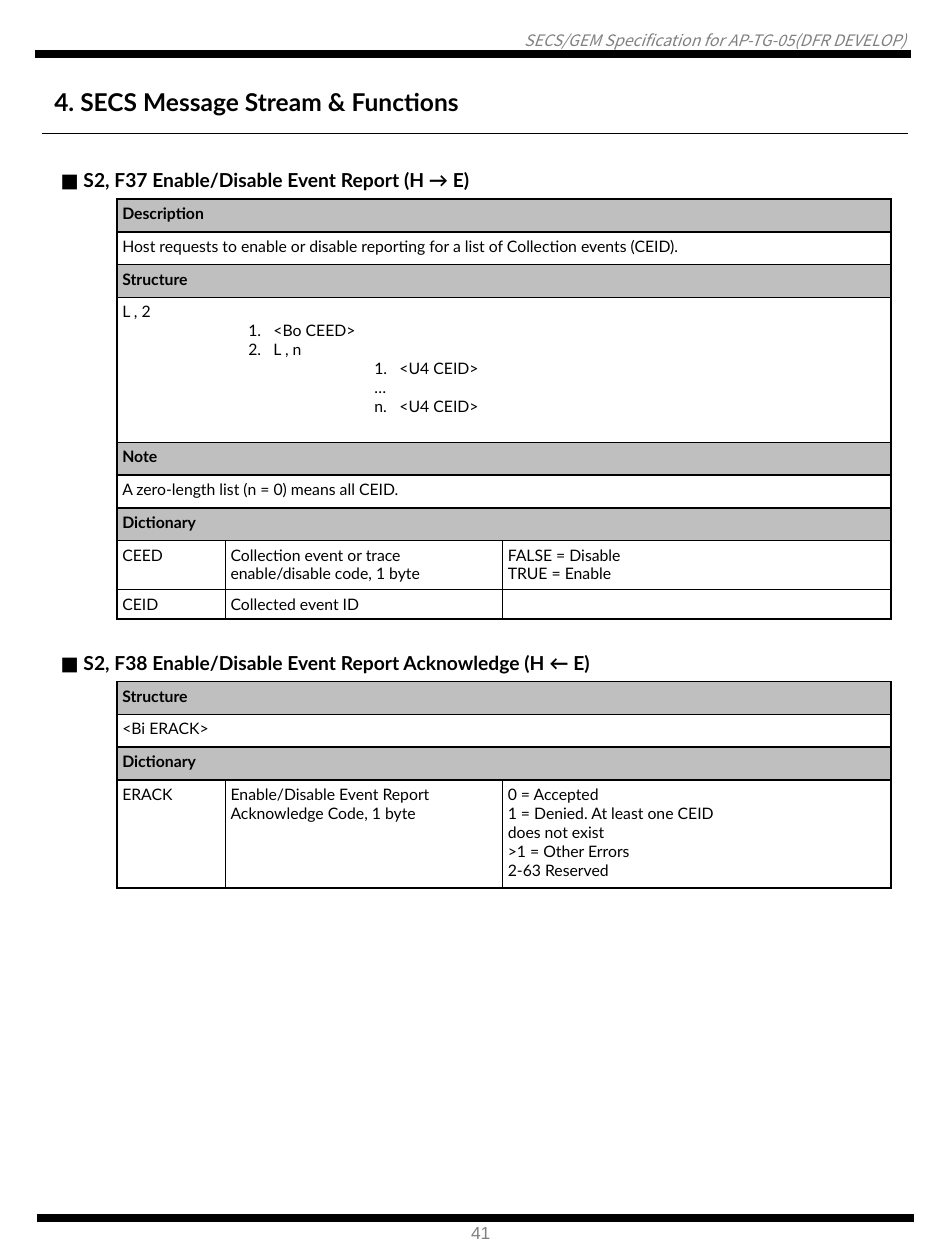
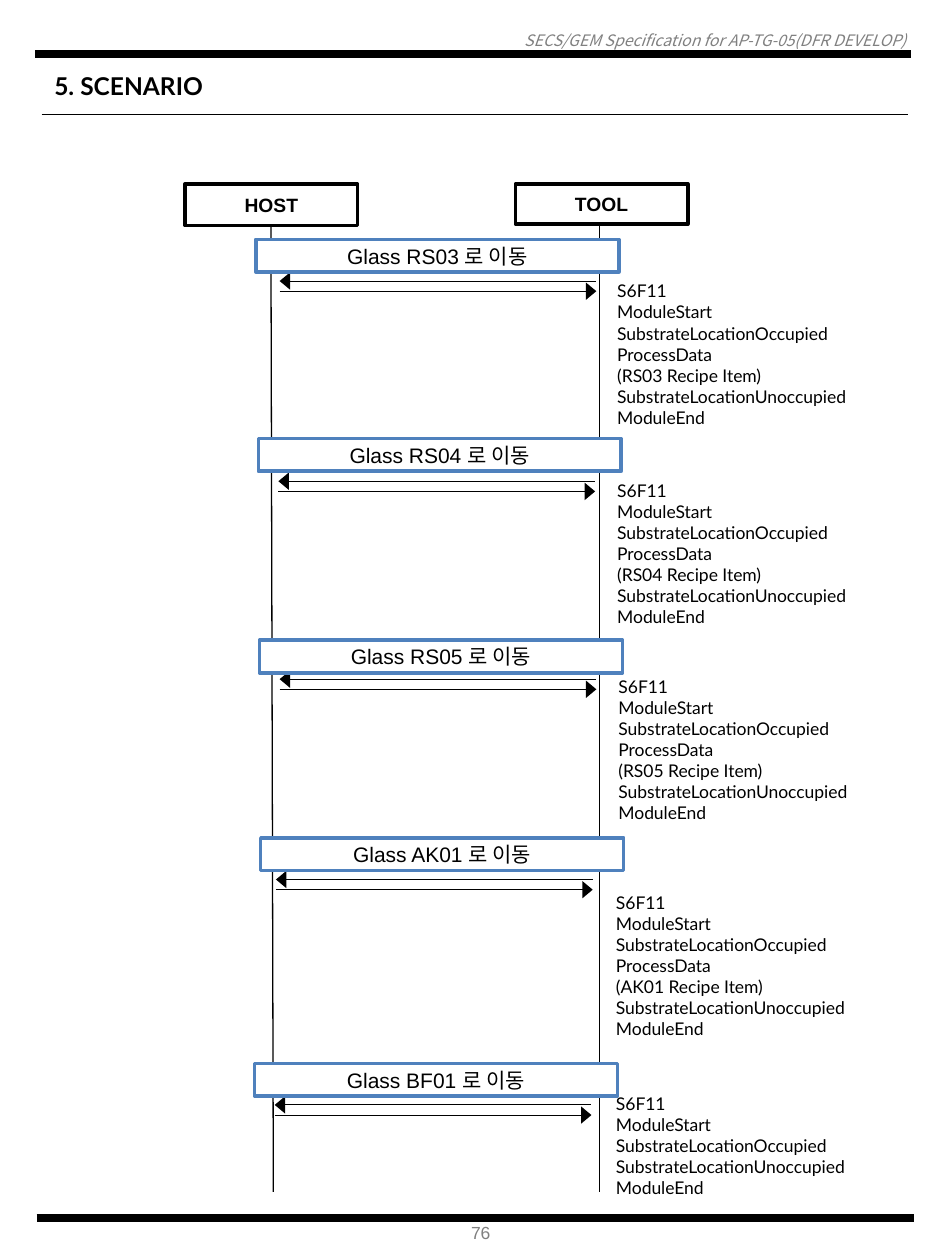
"""Build two pages of a SECS/GEM message specification."""
from dataclasses import dataclass
from typing import NamedTuple

from lxml.etree import SubElement
from pptx import Presentation
from pptx.dml.color import RGBColor
from pptx.enum.shapes import MSO_CONNECTOR, MSO_SHAPE
from pptx.enum.text import MSO_ANCHOR, MSO_AUTO_SIZE, PP_ALIGN
from pptx.oxml.ns import qn
from pptx.shapes.autoshape import Shape
from pptx.shapes.connector import Connector
from pptx.slide import Slide
from pptx.table import _Cell
from pptx.text.text import TextFrame
from pptx.util import Pt


@dataclass(frozen=True)
class Theme:
    """Colours, fonts and type sizes in points."""
    black: str = "000000"
    white: str = "FFFFFF"
    grey: str = "808080"
    heading_fill: str = "BFBFBF"
    blue: str = "4F81BD"
    body_font: str = "Lato"
    label_font: str = "Arial"
    header_font: str = "Noto Sans CJK KR"
    title_size: float = 14
    move_size: float = 12
    section_size: float = 11
    event_size: float = 10
    cell_size: float = 9


class Box(NamedTuple):
    """Left, top, width and height in points."""
    left: float
    top: float
    width: float
    height: float


class Row(NamedTuple):
    """One table row below the section heading."""
    height: float
    texts: tuple[str, ...]
    heading: bool = False
    levels: tuple[int, ...] = ()


class Section(NamedTuple):
    """A message table and the row where its margin cells merge."""
    heading: str
    top: float
    rows: tuple[Row, ...]
    margin_merge: int


class Move(NamedTuple):
    """A glass move with its label, arrow pair and event list positions."""
    module: str
    label: tuple[float, float]
    arrows: tuple[float, float]
    events: tuple[float, float]
    has_data: bool = True


class Actor(NamedTuple):
    """A participant box and its lifeline."""
    name: str
    box: Box
    line_top: float
    line_left: tuple[float, float]


THEME = Theme()
COLUMN_WIDTHS = (35.3, 61.9, 158.4, 221.8)
TABLE_LEFT = 31.7
SECTION_HEIGHT = 21.6
ROW_HEIGHT = 18.72
CELL_MARGIN = 2.9
LEVEL_INDENT = 72
NUMBER_INDENT = 14.4
LABEL_SIZE = (207.4, 18.7)
ARROW_LENGTH = 181
ARROW_GAP = 5.8
EVENTS_WIDTH = 145.4
EVENT_LINE = 12.2
LIFELINE_BOTTOM = 681.1

SECTIONS = (
    Section("■ S2, F37 Enable/Disable Event Report (H → E)", 92.2, (
        Row(ROW_HEIGHT, ("Description",), True),
        Row(ROW_HEIGHT, ("Host requests to enable or disable reporting for a list of Collection events (CEID).",)),
        Row(ROW_HEIGHT, ("Structure",), True),
        Row(82.8, ("L , 2\n1.\t<Bo CEED>\n2.\tL , n\n1.\t<U4 CEID>\n…\nn.\t<U4 CEID>",), False, (0, 1, 1, 2, 2, 2)),
        Row(ROW_HEIGHT, ("Note",), True),
        Row(ROW_HEIGHT, ("A zero-length list (n = 0) means all CEID.",)),
        Row(ROW_HEIGHT, ("Dictionary",), True),
        Row(28.1, ("CEED", "Collection event or trace enable/disable code, 1 byte", "FALSE = Disable\nTRUE = Enable")),
        Row(16.6, ("CEID", "Collected event ID", "")),
    ), 6),
    Section("■ S2, F38 Enable/Disable Event Report Acknowledge (H ← E)", 367.9, (
        Row(ROW_HEIGHT, ("Structure",), True),
        Row(ROW_HEIGHT, ("<Bi ERACK>",)),
        Row(ROW_HEIGHT, ("Dictionary",), True),
        Row(61.9, ("ERACK", "Enable/Disable Event Report\nAcknowledge Code, 1 byte",
                   "0 = Accepted\n1 = Denied. At least one CEID\ndoes not exist\n>1 = Other Errors\n2-63 Reserved")),
    ), 3),
)

ACTORS = (
    Actor("HOST", Box(105.8, 105.1, 98.6, 23.8), 128.9, (154.8, 156.2)),
    Actor("TOOL", Box(294.5, 105.1, 98.6, 23), 127.4, (342.7, 342.7)),
)

MOVES = (
    Move("RS03", (146.2, 136.8), (159.8, 160.6), (345.6, 156.2)),
    Move("RS04", (147.6, 250.6), (159.1, 275), (345.6, 270)),
    Move("RS05", (148.3, 365.8), (159.8, 388.1), (346.3, 382.3)),
    Move("AK01", (149, 478.8), (157.7, 502.6), (344.9, 505.4)),
    Move("BF01", (145.4, 607.7), (157, 631.4), (344.9, 620.6), False),
)


def write_text(frame: TextFrame, text: str, *, size: float, font: str = THEME.body_font,
               color: str = THEME.black, bold: bool = False, italic: bool = False,
               align: PP_ALIGN = PP_ALIGN.LEFT, levels: tuple[int, ...] = ()) -> None:
    """Fill a frame with one formatted paragraph per line."""
    for index, line in enumerate(text.split("\n")):
        paragraph = frame.add_paragraph() if index else frame.paragraphs[0]
        paragraph.alignment = align
        if levels and levels[index]:
            properties = paragraph._p.get_or_add_pPr()
            properties.set("marL", str(Pt(LEVEL_INDENT * levels[index] + NUMBER_INDENT)))
            properties.set("indent", str(Pt(-NUMBER_INDENT)))
        if not line:
            SubElement(paragraph._p, qn("a:endParaRPr")).set("sz", str(int(size * 100)))
            continue
        run = paragraph.add_run()
        run.text = line
        run.font.name, run.font.size = font, Pt(size)
        run.font.bold, run.font.italic = bold, italic
        run.font.color.rgb = RGBColor.from_string(color)


def place(shape: Shape, box: Box) -> None:
    """Move and size a shape."""
    shape.left, shape.top, shape.width, shape.height = map(Pt, box)


def set_frame(frame: TextFrame, *, wrap: bool = True, anchor: MSO_ANCHOR = MSO_ANCHOR.TOP,
              inset: tuple[float, float] = (7.2, 3.6)) -> None:
    """Set wrapping, anchor and insets of a text frame."""
    frame.auto_size = MSO_AUTO_SIZE.NONE if wrap else MSO_AUTO_SIZE.SHAPE_TO_FIT_TEXT
    frame.word_wrap = wrap
    frame.vertical_anchor = anchor
    frame.margin_left = frame.margin_right = Pt(inset[0])
    frame.margin_top = frame.margin_bottom = Pt(inset[1])


def add_text(slide: Slide, box: Box, text: str, *, wrap: bool = True,
             anchor: MSO_ANCHOR = MSO_ANCHOR.TOP, inset: tuple[float, float] = (7.2, 3.6), **text_format) -> None:
    """Add a text box."""
    frame = slide.shapes.add_textbox(*map(Pt, box)).text_frame
    set_frame(frame, wrap=wrap, anchor=anchor, inset=inset)
    write_text(frame, text, **text_format)


def add_label(slide: Slide, box: Box, text: str, line_color: str, *, filled: bool = True, **text_format) -> None:
    """Add an outlined rectangle with centred text."""
    shape = slide.shapes.add_shape(MSO_SHAPE.RECTANGLE, *map(Pt, box))
    shape.shadow.inherit = False
    if filled:
        shape.fill.solid()
        shape.fill.fore_color.rgb = RGBColor.from_string(THEME.white)
    else:
        shape.fill.background()
    shape.line.color.rgb = RGBColor.from_string(line_color)
    shape.line.width = Pt(2)
    set_frame(shape.text_frame, anchor=MSO_ANCHOR.MIDDLE, inset=(0, 0))
    write_text(shape.text_frame, text, font=THEME.label_font, align=PP_ALIGN.CENTER, **text_format)


def add_line(slide: Slide, start: tuple[float, float], end: tuple[float, float],
             width: float, arrow: str = "") -> Connector:
    """Add a black line, with an arrow at its headEnd or tailEnd if named."""
    line = slide.shapes.add_connector(MSO_CONNECTOR.STRAIGHT, *map(Pt, (*start, *end)))
    line.line.color.rgb = RGBColor.from_string(THEME.black)
    line.line.width = Pt(width)
    if arrow:
        SubElement(line.line._get_or_add_ln(), qn(f"a:{arrow}"), type="triangle", w="lg", len="med")
    SubElement(line._element.spPr, qn("a:effectLst"))
    return line


def set_borders(cell: _Cell, edges: dict[str, str]) -> None:
    """Draw the named cell edges: black ones 1 pt, white ones 0.75 pt."""
    properties = cell._tc.get_or_add_tcPr()
    for position, (edge, color) in enumerate(edges.items()):
        width = Pt(1 if color == THEME.black else 0.75)
        line = properties.makeelement(qn(f"a:ln{edge}"), {"w": str(width)})
        SubElement(SubElement(line, qn("a:solidFill")), qn("a:srgbClr"), val=color)
        properties.insert(position, line)


def fill_cell(cell: _Cell, text: str, *, edges: dict[str, str], fill: str = "",
              anchor: MSO_ANCHOR = MSO_ANCHOR.TOP, **text_format) -> None:
    """Set the text, fill and borders of a table cell."""
    cell.margin_left = cell.margin_right = cell.margin_top = cell.margin_bottom = Pt(CELL_MARGIN)
    cell.vertical_anchor = anchor
    if fill:
        cell.fill.solid()
        cell.fill.fore_color.rgb = RGBColor.from_string(fill)
    else:
        cell.fill.background()
    set_borders(cell, edges)
    write_text(cell.text_frame, text, **text_format)


def add_section(slide: Slide, section: Section) -> None:
    """Add a message table under its section heading."""
    heights = (SECTION_HEIGHT, *(row.height for row in section.rows))
    box = Box(TABLE_LEFT, section.top, sum(COLUMN_WIDTHS), sum(heights))
    table = slide.shapes.add_table(len(heights), len(COLUMN_WIDTHS), *map(Pt, box)).table
    table.first_row = table.horz_banding = False
    for column, width in zip(table.columns, COLUMN_WIDTHS):
        column.width = Pt(width)
    for table_row, height in zip(table.rows, heights):
        table_row.height = Pt(height)
    last_column = len(COLUMN_WIDTHS) - 1
    white_edges = dict.fromkeys("LRTB", THEME.white)
    black_edges = dict.fromkeys("LRTB", THEME.black)
    margin_edges = white_edges | {"R": THEME.black}
    table.cell(0, 0).merge(table.cell(0, last_column))
    fill_cell(table.cell(0, 0), section.heading, edges=white_edges, anchor=MSO_ANCHOR.MIDDLE,
              size=THEME.section_size, bold=True)
    table.cell(section.margin_merge, 0).merge(table.cell(len(section.rows), 0))
    for index, row in enumerate(section.rows, 1):
        fill_cell(table.cell(index, 0), "", edges=margin_edges, size=THEME.cell_size)
        if len(row.texts) == 1:
            table.cell(index, 1).merge(table.cell(index, last_column))
        texts = row.texts + ("",) * (last_column - len(row.texts))
        for column, text in enumerate(texts, 1):
            fill_cell(table.cell(index, column), text, edges=black_edges,
                      fill=THEME.heading_fill if row.heading else "",
                      size=THEME.cell_size, bold=row.heading, levels=row.levels if text else ())


def add_move(slide: Slide, move: Move) -> None:
    """Add the arrow pair, label and event list of one glass move."""
    left, top = move.arrows
    for offset, arrow in ((0, "headEnd"), (ARROW_GAP, "tailEnd")):
        add_line(slide, (left, top + offset), (left + ARROW_LENGTH, top + offset), 0.5, arrow)
    add_label(slide, Box(*move.label, *LABEL_SIZE), f"Glass {move.module} 로 이동", THEME.blue, size=THEME.move_size)
    data = ["ProcessData", f"({move.module} Recipe Item)"] if move.has_data else []
    events = ["S6F11", "ModuleStart", "SubstrateLocationOccupied", *data, "SubstrateLocationUnoccupied", "ModuleEnd"]
    add_text(slide, Box(*move.events, EVENTS_WIDTH, EVENT_LINE * len(events) + 6.8), "\n".join(events),
             anchor=MSO_ANCHOR.MIDDLE, size=THEME.event_size)


def add_page(presentation: Presentation, title: str, number: int, title_box: Box, rule_top: float) -> Slide:
    """Add a slide with the shared header, title, rules and page number."""
    slide = presentation.slides.add_slide(presentation.slide_layouts[5])
    place(slide.shapes.title, title_box)
    set_frame(slide.shapes.title.text_frame, wrap=False)
    write_text(slide.shapes.title.text_frame, title, size=THEME.title_size, bold=True)
    add_text(slide, Box(3.6, 17.3, 514.1, 10.8), "SECS/GEM Specification for AP-TG-05(DFR DEVELOP)",
             anchor=MSO_ANCHOR.MIDDLE, inset=(0, 0), size=THEME.cell_size, font=THEME.header_font,
             color=THEME.grey, italic=True, align=PP_ALIGN.RIGHT)
    add_line(slide, (20.2, 31), (520.6, 31), 4.75)
    add_line(slide, (20.9, 696.2), (522, 696.2), 4.75)
    add_line(slide, (23.8, rule_top), (519.1, rule_top), 0.75)
    add_text(slide, Box(262.1, 694.8, 26.6, 19.4), str(number), wrap=False, size=THEME.event_size,
             font=THEME.label_font, color=THEME.grey)
    return slide


def main() -> None:
    """Build and save the presentation."""
    presentation = Presentation()
    presentation.slide_width, presentation.slide_height = Pt(540), Pt(720)

    messages = add_page(presentation, "4. SECS Message Stream & Functions", 41, Box(23.8, 46.1, 277.9, 24.5), 76.3)
    for section in SECTIONS:
        add_section(messages, section)

    scenario = add_page(presentation, "5. SCENARIO", 76, Box(23.8, 36.7, 108, 24.5), 65.5)
    for actor in ACTORS:
        add_line(scenario, (actor.line_left[0], actor.line_top), (actor.line_left[1], LIFELINE_BOTTOM), 0.75)
        add_label(scenario, actor.box, actor.name, THEME.black, filled=False, size=THEME.section_size, bold=True)
    for move in MOVES:
        add_move(scenario, move)
    presentation.save("out.pptx")


if __name__ == "__main__":
    main()
